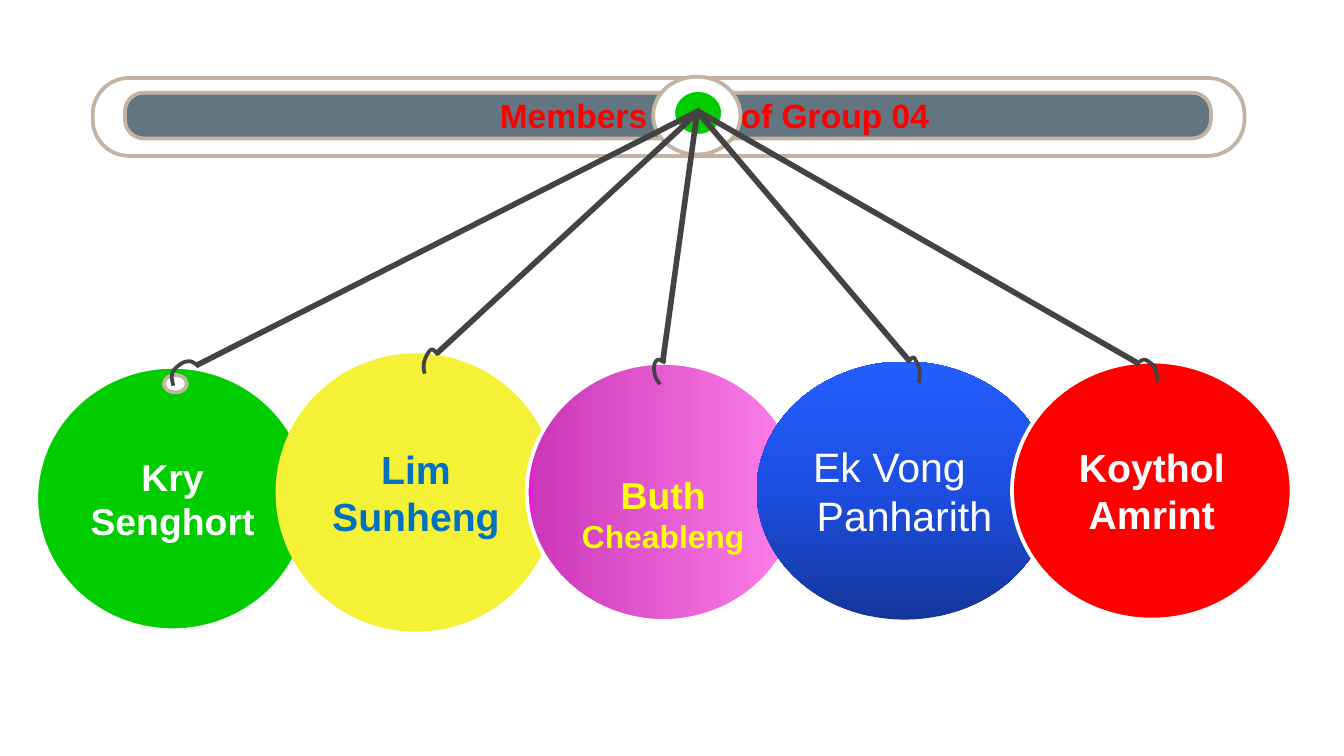
from lxml import etree
from pptx import Presentation
from pptx import util as u
from pptx.dml.color import RGBColor
from pptx.enum import shapes, text
from pptx.oxml import ns

HUES = {
    "white": "FFFFFF", "tan": "C3B3A3", "slate": "627581", "dark": "434343",
    "green": "00CC00", "lemon": "F5F137", "red": "FF0000", "azure": "0070C0",
    "yellow": "FFFF00", "snow": "FDFFFE",
}
PINK = (180, [(0, "FE82EC"), (97, "CD37B8"), (100, "FF00FF")])
BLUE = (270, [(0, "14369B"), (50, "1D4EE1"), (100, "235EFF")])
LEFT, MID = text.PP_ALIGN.LEFT, text.PP_ALIGN.CENTER
OVAL = shapes.MSO_SHAPE.OVAL
PILL = shapes.MSO_SHAPE.ROUNDED_RECTANGLE


def rgb(name):
    return RGBColor.from_string(HUES[name])


def write(para, words, size=20, hue="white", bold=True, gap=0):
    """Add a run; gap is extra space after each letter, in points."""
    run = para.add_run()
    run.text = words
    font = run.font
    font.name, font.size, font.bold = "Arial", u.Pt(size), bold
    font.color.rgb = rgb(hue)
    if gap:
        font._element.set("spc", str(gap * 100))


def curve(dots, steps=8):
    """Points along a chain of cubic Bezier arcs."""
    out = [dots[0]]
    for i in range(0, len(dots) - 1, 3):
        arc = dots[i:i + 4]
        for n in range(1, steps + 1):
            t = n / steps
            mix = ((1 - t) ** 3, 3 * t * (1 - t) ** 2, 3 * t * t * (1 - t), t ** 3)
            out.append(tuple(sum(m * p[k] for m, p in zip(mix, arc)) for k in (0, 1)))
    return out


class Board:
    def __init__(self, slide):
        self.slide = slide
        self.ink = "dark"

    def shape(self, kind, box, fill, line=None, adj=None):
        item = self.slide.shapes.add_shape(kind, *map(u.Inches, box))
        item.shadow.inherit = False
        if adj is not None:
            item.adjustments[0] = adj
        if isinstance(fill, tuple):
            self.blend(item, *fill)
        else:
            item.fill.solid()
            item.fill.fore_color.rgb = rgb(fill)
        if line:
            item.line.color.rgb = rgb(line)
            item.line.width = u.Pt(2)
        else:
            item.line.fill.background()
        return item

    def blend(self, item, angle, stops):
        """Fill with a linear gradient; the angle runs clockwise."""
        item.fill.gradient()
        grad = item._element.spPr.find(ns.qn("a:gradFill"))
        for kid in list(grad):
            grad.remove(kid)
        rows = etree.SubElement(grad, ns.qn("a:gsLst"))
        for pos, code in stops:
            stop = etree.SubElement(rows, ns.qn("a:gs"), pos=str(pos * 1000))
            etree.SubElement(stop, ns.qn("a:srgbClr"), val=code)
        etree.SubElement(grad, ns.qn("a:lin"), ang=str(angle * 60000), scaled="0")

    def label(self, item, paras, top=0.05):
        """Each paragraph is an alignment and a list of (words, format)."""
        frame = item.text_frame
        frame.word_wrap = True
        frame.vertical_anchor = text.MSO_ANCHOR.MIDDLE
        frame.margin_top = u.Inches(top)
        for i, (align, runs) in enumerate(paras):
            para = frame.add_paragraph() if i else frame.paragraphs[0]
            para.alignment = align
            for words, style in runs:
                write(para, words, **style)
        return frame

    def string(self, start, end):
        line = self.slide.shapes.add_connector(
            shapes.MSO_CONNECTOR.STRAIGHT, *map(u.Inches, start + end))
        line.line.color.rgb = rgb(self.ink)
        line.line.width = u.Pt(3)
        etree.SubElement(line._element.spPr, ns.qn("a:effectLst"))

    def hook(self, dots):
        path = [(u.Inches(x), u.Inches(y)) for x, y in curve(dots)]
        form = self.slide.shapes.build_freeform(*path[0])
        form.add_line_segments(path[1:], close=False)
        item = form.convert_to_shape()
        item.shadow.inherit = False
        item.fill.background()
        item.line.color.rgb = rgb(self.ink)
        item.line.width = u.Pt(2)


def name(words, size, hue):
    return [(MID, [(words, dict(size=size, hue=hue))])]


BALLS = [
    ((0.27, 2.73, 2.03, 1.96), "green", "white", 0.05, name("Kry Senghort", 20, "white")),
    ((2.05, 2.63, 2.09, 2.07), "lemon", None, 0.05, name("Lim Sunheng", 21, "azure")),
    ((3.92, 2.7, 2.03, 1.92), PINK, "white", 0.37,
     [(MID, [("Buth ", dict(hue="yellow")), ("Cheableng", dict(size=17, hue="yellow"))])]),
    ((5.63, 2.69, 2.2, 1.92), BLUE, None, 0.05,
     [(LEFT, [("Ek Vong", dict(size=22, bold=False))]),
      (MID, [("Panharith", dict(size=22, bold=False))])]),
    ((7.53, 2.69, 2.08, 1.92), "red", "white", 0.05, name("Koythol Amrint", 21, "snow")),
]
# Hub x, string end, hook curve
STRINGS = [
    (5.21, (1.46, 2.72), [(1.48, 2.73), (1.45, 2.7), (1.42, 2.68), (1.39, 2.69),
                          (1.36, 2.69), (1.31, 2.73), (1.29, 2.76),
                          (1.27, 2.79), (1.28, 2.83), (1.29, 2.87)]),
    (5.18, (8.48, 2.71), [(8.61, 2.84), (8.61, 2.81), (8.61, 2.78), (8.6, 2.75),
                          (8.59, 2.72), (8.55, 2.69), (8.53, 2.68),
                          (8.51, 2.67), (8.5, 2.68), (8.48, 2.69)]),
    (5.21, (3.25, 2.63), [(3.26, 2.64), (3.24, 2.62), (3.23, 2.6), (3.21, 2.6),
                          (3.19, 2.61), (3.17, 2.65), (3.16, 2.68),
                          (3.15, 2.71), (3.15, 2.74), (3.16, 2.78)]),
    (5.18, (6.77, 2.69), [(6.76, 2.7), (6.77, 2.68), (6.78, 2.66), (6.8, 2.66),
                          (6.81, 2.67), (6.83, 2.71), (6.84, 2.74),
                          (6.85, 2.77), (6.84, 2.81), (6.84, 2.85)]),
    (5.19, (4.93, 2.7), [(4.95, 2.7), (4.92, 2.68), (4.9, 2.67), (4.89, 2.68),
                         (4.87, 2.69), (4.86, 2.73), (4.87, 2.77),
                         (4.87, 2.8), (4.89, 2.83), (4.91, 2.86)]),
]


def main():
    deck = Presentation()
    deck.slide_width, deck.slide_height = u.Inches(10), u.Inches(10 * 9 / 16)
    board = Board(deck.slides.add_slide(deck.slide_layouts[6]))

    board.shape(PILL, (0.69, 0.58, 8.57, 0.58), "white", "tan", 0.467)
    bar = board.shape(PILL, (0.93, 0.69, 8.08, 0.34), "slate", "tan", 0.408)
    red = dict(size=18, hue="red")
    frame = board.label(bar, [(LEFT, [("Members", red), (" ", dict(red, gap=45)),
                                      ("of Group 04", red)])])
    props = frame.paragraphs[0]._p.get_or_add_pPr()
    props.set("marL", str(u.Inches(2.65)))
    board.shape(OVAL, (4.86, 0.57, 0.65, 0.58), "white", "tan")
    board.shape(OVAL, (5.01, 0.67, 0.37, 0.34), "green", "white")

    for i, (box, fill, line, top, paras) in enumerate(BALLS):
        board.label(board.shape(OVAL, box, fill, line), paras, top)
        if i == 0:
            board.shape(OVAL, (1.22, 2.79, 0.17, 0.13), "white", "tan")
    for x, end, dots in STRINGS:
        board.string((x, 0.82), end)
        board.hook(dots)
    deck.save("out.pptx")


if __name__ == "__main__":
    main()
